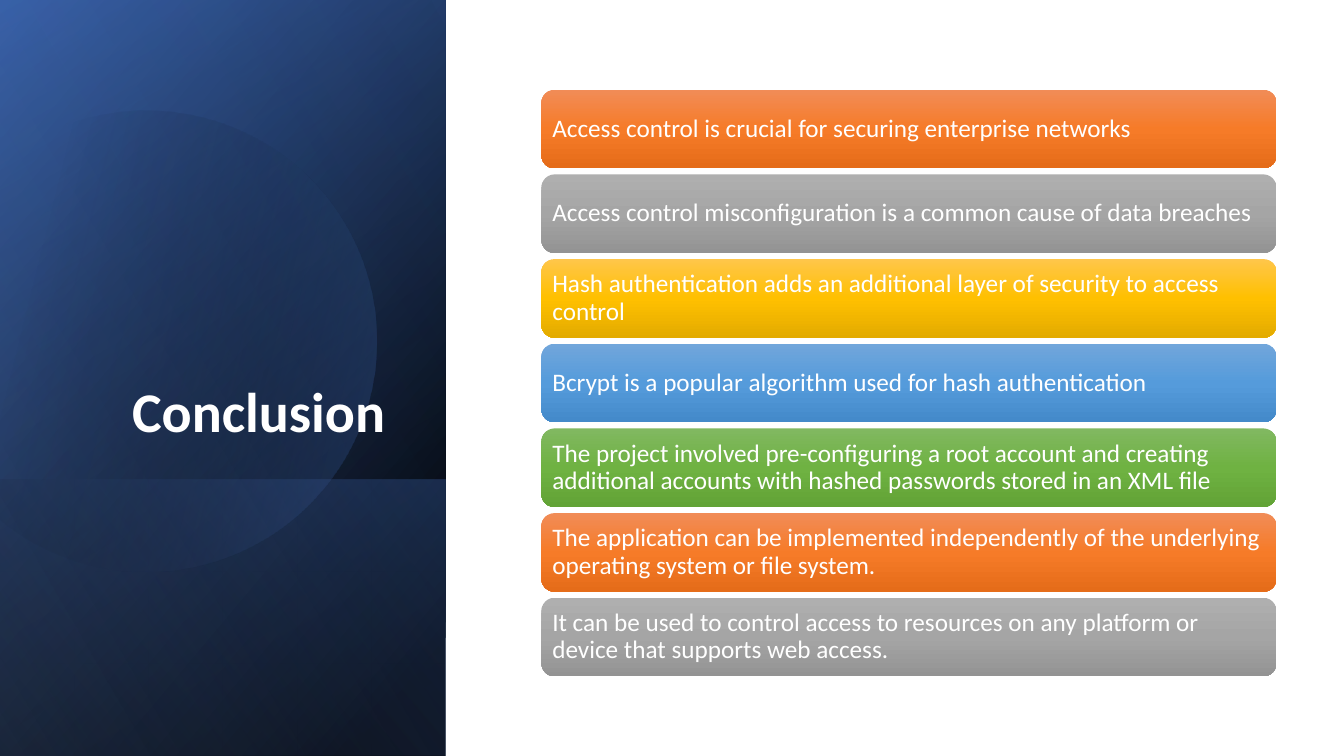
from itertools import cycle
from math import cos, radians, sin

from pptx import Presentation
from pptx.dml.color import RGBColor
from pptx.enum.shapes import MSO_SHAPE
from pptx.enum.text import MSO_ANCHOR, MSO_AUTO_SIZE, PP_ALIGN
from pptx.oxml import parse_xml
from pptx.oxml.ns import nsdecls, qn
from pptx.util import Inches, Pt

RECTANGLE = MSO_SHAPE.RECTANGLE
ROUNDED_RECTANGLE = MSO_SHAPE.ROUNDED_RECTANGLE
ANCHOR_BOTTOM, ANCHOR_MIDDLE = MSO_ANCHOR.BOTTOM, MSO_ANCHOR.MIDDLE
ALIGN_LEFT, ALIGN_RIGHT = PP_ALIGN.LEFT, PP_ALIGN.RIGHT
NO_AUTOFIT = MSO_AUTO_SIZE.NONE

WHITE = RGBColor(0xFF, 0xFF, 0xFF)
BLACK = RGBColor(0x00, 0x00, 0x00)
NAVY = RGBColor(0x2F, 0x55, 0x97)
BLUE = RGBColor(0x44, 0x72, 0xC4)
PALE_BLUE = RGBColor(0x8F, 0xAA, 0xDC)
ORANGES = [RGBColor(0xF1, 0x8C, 0x57), RGBColor(0xF6, 0x7B, 0x28), RGBColor(0xE5, 0x6C, 0x19)]
GRAYS = [RGBColor(0xAF, 0xAF, 0xAF), RGBColor(0xA5, 0xA5, 0xA5), RGBColor(0x93, 0x93, 0x93)]
GOLDS = [RGBColor(0xFF, 0xC6, 0x4B), RGBColor(0xFF, 0xC0, 0x00), RGBColor(0xE3, 0xAB, 0x00)]
SKY_BLUES = [RGBColor(0x71, 0xA6, 0xDB), RGBColor(0x55, 0x9B, 0xDB), RGBColor(0x44, 0x8A, 0xCA)]
GREENS = [RGBColor(0x81, 0xB8, 0x61), RGBColor(0x6F, 0xB2, 0x42), RGBColor(0x62, 0xA3, 0x36)]


def paint_gradient(shape, stops, angle):
    shape.shadow.inherit = False
    shape.line.fill.background()
    shape.fill.gradient()
    stop_xml = "".join(
        f'<a:gs pos="{position * 1000}"><a:srgbClr val="{color}">'
        f'<a:alpha val="{opacity * 1000}"/></a:srgbClr></a:gs>'
        for position, color, opacity in stops
    )
    gradient = parse_xml(
        f'<a:gradFill {nsdecls("a")} rotWithShape="1"><a:gsLst>{stop_xml}</a:gsLst>'
        f'<a:lin ang="{angle * 60000}" scaled="0"/></a:gradFill>'
    )
    properties = shape._element.spPr
    properties.replace(properties.find(qn("a:gradFill")), gradient)


def format_text(shape, text, frame_format, paragraph_format, font_format):
    frame = shape.text_frame
    frame.text = text
    paragraph = frame.paragraphs[0]
    for target, values in (
        (frame, frame_format),
        (paragraph, paragraph_format),
        (paragraph.runs[0].font, font_format),
    ):
        for name, value in values.items():
            setattr(target, name, value)
    paragraph.runs[0].font.color.rgb = WHITE


presentation = Presentation()
presentation.slide_width = Inches(13.33)
presentation.slide_height = Inches(7.5)
slide = presentation.slides.add_slide(presentation.slide_layouts[5])
shapes = slide.shapes

FULL_PANEL = (-1.54, 1.54, 7.5, 4.42)
LOWER_PANEL = (0.84, 3.92, 2.74, 4.42)
panels = [
    (FULL_PANEL, [(8, BLACK, 100), (100, NAVY, 100)], 50),
    (FULL_PANEL, [(0, BLACK, 0), (99, BLUE, 46)], 30),
    (LOWER_PANEL, [(2, BLUE, 29), (100, BLACK, 30)], 130),
    (FULL_PANEL, [(0, BLACK, 0), (99, PALE_BLUE, 11)], 120),
]

CENTER_X, CENTER_Y, RADIUS = 1.44, 3.34, 2.29
arc_degrees = [-118, -90, 0, 90, 150]
arc_points = [
    (
        Inches(CENTER_X + RADIUS * cos(radians(degree))),
        Inches(CENTER_Y + RADIUS * sin(radians(degree))),
    )
    for degree in arc_degrees
]

for index, (box, stops, angle) in enumerate(panels):
    if index == 3:
        builder = shapes.build_freeform(*arc_points[0])
        builder.add_line_segments(arc_points[1:], close=True)
        disc = builder.convert_to_shape()
        disc.rotation = 343.9
        sides = list(disc._element.iter(qn("a:lnTo")))
        for side, start, end in zip(sides, arc_degrees, arc_degrees[1:]):
            arc = parse_xml(
                f'<a:arcTo {nsdecls("a")} wR="{Inches(RADIUS)}" hR="{Inches(RADIUS)}" '
                f'stAng="{start % 360 * 60000}" swAng="{(end - start) * 60000}"/>'
            )
            side.getparent().replace(side, arc)
        paint_gradient(disc, [(29, BLACK, 0), (100, BLUE, 43)], 30)
    panel = shapes.add_shape(RECTANGLE, *map(Inches, box))
    panel.rotation = 90
    panel._element.spPr.find(qn("a:xfrm")).set("flipH", "1")
    paint_gradient(panel, stops, angle)

title = shapes.title
title.left, title.top, title.width, title.height = map(Inches, (0.64, 1.84, 3.41, 2.62))
format_text(
    title,
    "Conclusion",
    {
        "vertical_anchor": ANCHOR_BOTTOM,
        "word_wrap": True,
        "auto_size": NO_AUTOFIT,
        "margin_right": Inches(0.23),
    },
    {"alignment": ALIGN_RIGHT, "line_spacing": 0.9},
    {"name": "Calibri", "size": Pt(40), "bold": True},
)
shapes._spTree.append(title._element)

conclusions = [
    "Access control is crucial for securing enterprise networks",
    "Access control misconfiguration is a common cause of data breaches",
    "Hash authentication adds an additional layer of security to access control",
    "Bcrypt is a popular algorithm used for hash authentication",
    "The project involved pre-configuring a root account and creating additional accounts "
    "with hashed passwords stored in an XML file",
    "The application can be implemented independently of the underlying operating system "
    "or file system.",
    "It can be used to control access to resources on any platform or device that supports "
    "web access.",
]
bar_frame = {"vertical_anchor": ANCHOR_MIDDLE, "word_wrap": True}
bar_frame.update({f"margin_{side}": Inches(0.07) for side in ("left", "top", "right", "bottom")})
palettes = cycle([ORANGES, GRAYS, GOLDS, SKY_BLUES, GREENS])

for row, (conclusion, palette) in enumerate(zip(conclusions, palettes)):
    bar = shapes.add_shape(
        ROUNDED_RECTANGLE, Inches(5.37), Inches(0.89 + row * 0.84), Inches(7.29), Inches(0.78)
    )
    paint_gradient(bar, [(place * 50, color, 100) for place, color in enumerate(palette)], 90)
    format_text(
        bar,
        conclusion,
        bar_frame,
        {"alignment": ALIGN_LEFT, "line_spacing": 0.9},
        {"name": "Calibri", "size": Pt(18)},
    )

presentation.save("out.pptx")
